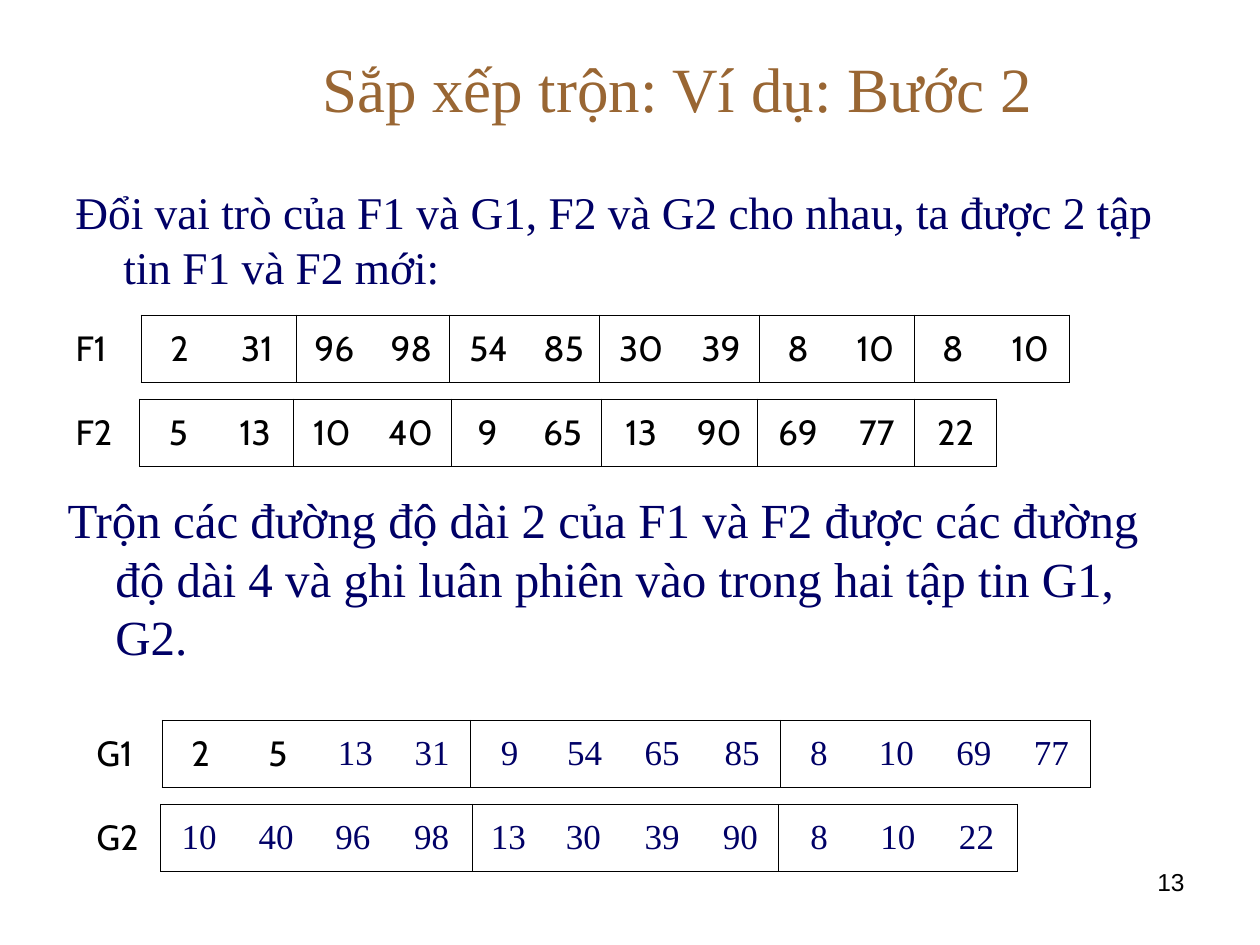
from itertools import chain

from lxml import etree
from pptx import Presentation, util as u
from pptx.dml.color import RGBColor
from pptx.enum import text
from pptx.oxml import ns

# The slide is a grid of 120 columns by 90 rows
CELL = u.Inches(1 / 12)
ROW_HEIGHT = 6.4
COLORS = {"title": "996633", "body": "000066", "ink": "000000"}
SERIF, SANS, PLAIN = "Times New Roman", "Cabin", "Arial"
ALIGN, ANCHOR = text.PP_ALIGN, text.MSO_ANCHOR

# Column widths in inches, label column first
LONG = [0.62, 0.61, 0.62, 0.61, 0.61, 0.62, 0.57, 0.66, 0.61, 0.61, 0.62, 0.61, 0.62]
SHORT = [0.61, 0.61, 0.61, 0.61, 0.64, 0.58, 0.61, 0.64, 0.6, 0.65, 0.6, 0.65]

# Each file: label, left, top, widths, its runs, how many values are in the label font
FILES = [
    ("F1", 6, 30, LONG,
     [[2, 31], [96, 98], [54, 85], [30, 39], [8, 10], [8, 10]], 12),
    ("F2", 6, 38, SHORT,
     [[5, 13], [10, 40], [9, 65], [13, 90], [69, 77], [22]], 11),
    ("G1", 8, 68.6, LONG,
     [[2, 5, 13, 31], [9, 54, 65, 85], [8, 10, 69, 77]], 2),
    ("G2", 8, 76.6, SHORT,
     [[10, 40, 96, 98], [13, 30, 39, 90], [8, 10, 22]], 0),
]


def grid(*lengths):
    return [round(length * CELL) for length in lengths]


def add_span(para, words, size, font, color):
    span = para.add_run()
    span.text = words
    span.font.size = u.Pt(size)
    span.font.name = font
    span.font.color.rgb = RGBColor.from_string(COLORS[color])


def add_text(page, area, words, size, font, color, align=ALIGN.LEFT,
             anchor=ANCHOR.TOP, hanging=0):
    box = page.shapes.add_textbox(*grid(*area))
    frame = box.text_frame
    frame.word_wrap = True
    frame.vertical_anchor = anchor
    para = frame.paragraphs[0]
    para.alignment = align
    if hanging:
        indent = u.Inches(hanging)
        properties = para._p.get_or_add_pPr()
        properties.set("marL", str(indent))
        properties.set("indent", str(-indent))
    add_span(para, words, size, font, color)


def set_borders(cell, sides):
    """Draw the named sides (of L, R, T, B) and clear the others."""
    properties = cell._tc.get_or_add_tcPr()
    for side in "LRTB":
        line = etree.SubElement(properties, ns.qn(f"a:ln{side}"), w=str(u.Pt(0.45)))
        if side in sides:
            fill = etree.SubElement(line, ns.qn("a:solidFill"))
            etree.SubElement(fill, ns.qn("a:srgbClr"), val=COLORS["ink"])
        else:
            etree.SubElement(line, ns.qn("a:noFill"))


def fill_cell(cell, words, font, color, align, sides):
    set_borders(cell, sides)
    cell.fill.background()
    cell.vertical_anchor = ANCHOR.MIDDLE
    para = cell.text_frame.paragraphs[0]
    para.alignment = align
    add_span(para, words, 20, font, color)


def add_file(page, label, left, top, widths, runs, label_font_count):
    area = grid(left, top) + [u.Inches(sum(widths))] + grid(ROW_HEIGHT)
    table = page.shapes.add_table(1, len(widths), *area).table
    table.first_row = table.horz_banding = False
    for column, width in zip(table.columns, widths):
        column.width = u.Inches(width)
    fill_cell(table.cell(0, 0), label, SANS, "ink", ALIGN.JUSTIFY, "R")

    # A run is closed in by a line on its left and right
    sides = chain.from_iterable(
        ["TB" + "L" * (i == 0) + "R" * (i == len(run) - 1) for i in range(len(run))]
        for run in runs)
    values = chain.from_iterable(runs)
    for index, (value, edge) in enumerate(zip(values, sides), start=1):
        font, color = (SANS, "ink") if index <= label_font_count else (SERIF, "body")
        fill_cell(table.cell(0, index), str(value), font, color, ALIGN.CENTER, edge)


def main():
    deck = Presentation()
    deck.slide_width, deck.slide_height = grid(120, 90)
    page = deck.slides.add_slide(deck.slide_layouts[6])

    # Title
    add_text(page, (15, 3.6, 99, 9.4), "Sắp xếp trộn: Ví dụ: Bước 2", 36, SERIF,
             "title", ALIGN.CENTER, ANCHOR.MIDDLE)

    # Explanations
    add_text(page, (6, 17, 110, 12),
             "Ðổi vai trò của F1 và G1, F2 và G2 cho nhau, "
             "ta được 2 tập tin F1 và F2 mới:",
             25.9, SERIF, "body", hanging=0.38)
    add_text(page, (5.25, 46, 110, 16),
             "Trộn các đường độ dài 2 của F1 và F2 được các đường độ dài 4 "
             "và ghi luân phiên vào trong hai tập tin G1, G2.",
             28, SERIF, "body", hanging=0.38)

    # Files with their runs
    for file in FILES:
        add_file(page, *file)

    # Slide number
    add_text(page, (86, 82, 28, 6.2), "13", 14, PLAIN, "ink", ALIGN.RIGHT)

    deck.save("out.pptx")


if __name__ == "__main__":
    main()
